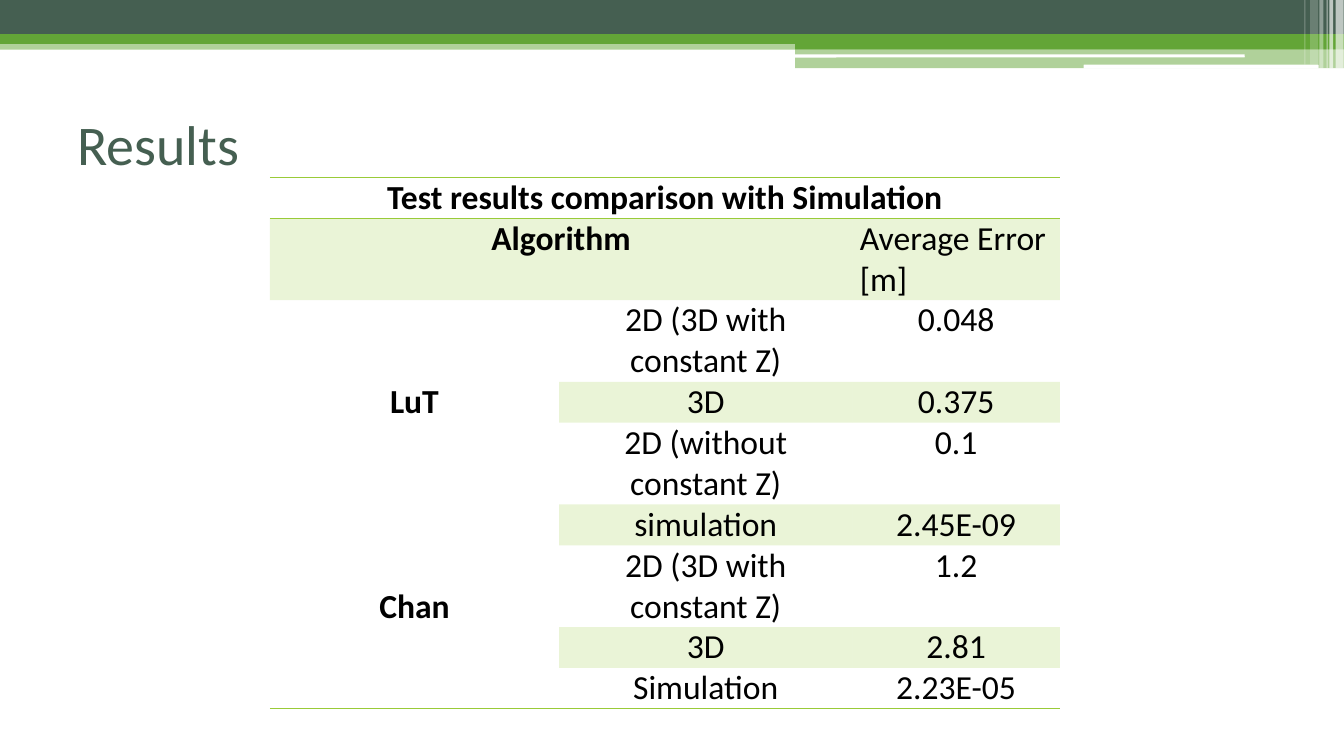
from dataclasses import dataclass
from lxml.etree import SubElement as Sub
from pptx import Presentation
from pptx.dml.color import RGBColor as RGB
from pptx.enum.shapes import MSO_SHAPE as Kind
from pptx.enum.text import MSO_ANCHOR as Anchor, PP_ALIGN as Align
from pptx.oxml import parse_xml
from pptx.oxml.ns import nsdecls, qn
from pptx.util import Cm, Pt


@dataclass
class Theme:
    font: str = "Calibri"
    title: int = 40
    body: int = 24
    dark: str = "455F51"
    green: str = "63A537"
    lime: str = "99CB38"
    white: str = "FFFFFF"
    black: str = "000000"


theme = Theme()


def paint(fill, node, color, alpha):
    fill.solid()
    fill.fore_color.rgb = RGB.from_string(color)
    if alpha < 100:
        tone = next(node.iter(qn("a:srgbClr")))
        Sub(tone, qn("a:alpha"), val=str(alpha * 1000))


def write(para, text, size, color, bold=False):
    run = para.add_run()
    run.text = text
    run.font.name = theme.font
    run.font.size = Pt(size)
    run.font.bold = bold
    run.font.color.rgb = RGB.from_string(color)


deck = Presentation()
deck.slide_width, deck.slide_height = Cm(33.87), Cm(19.05)
slide = deck.slides.add_slide(deck.slide_layouts[6])

# Top band: kind, left, top, width, height, color, opacity
box, pill = Kind.RECTANGLE, Kind.ROUNDED_RECTANGLE
bars = [
    (box, 0, 1.02, 33.87, 0.23, theme.green, 50),
    (box, 0, 0, 33.87, 0.86, theme.dark, 100),
    (box, 0, 0.86, 33.87, 0.25, theme.green, 100),
    (box, 20.04, 0.99, 13.83, 0.25, theme.green, 100),
    (box, 20.04, 1.22, 13.83, 0.5, theme.green, 50),
    (pill, 20.02, 1.37, 11.35, 0.08, theme.white, 100),
    (pill, 27.31, 1.63, 5.92, 0.1, theme.white, 100),
]
# Pale stripes at the right end: left, width, height, opacity
stripes = [
    (33.66, 0.2, 1.73, 65), (33.5, 0.1, 1.73, 65), (33.43, 0.03, 1.73, 60),
    (33.25, 0.1, 1.73, 40), (33.02, 0.2, 1.63, 20), (32.87, 0.03, 1.63, 30),
]
bars += [(box, x, 0, w, h, theme.white, a) for x, w, h, a in stripes]
for kind, x, y, w, h, color, alpha in bars:
    bar = slide.shapes.add_shape(kind, Cm(x), Cm(y), Cm(w), Cm(h))
    bar.shadow.inherit = False
    bar.line.fill.background()
    paint(bar.fill, bar.element.spPr, color, alpha)

# Title
title = slide.shapes.add_textbox(Cm(1.7), Cm(2.12), Cm(30.48), Cm(2.96))
frame = title.text_frame
frame.word_wrap = True
frame.vertical_anchor = Anchor.MIDDLE
write(frame.paragraphs[0], "Results", theme.title, theme.dark)

# Table of results
data = [
    ("Test results comparison with Simulation", "", ""),
    ("Algorithm", "", "Average Error [m]"),
    ("LuT", "2D (3D with constant Z)", "0.048"),
    ("", "3D", "0.375"),
    ("", "2D (without constant Z)", "0.1"),
    ("", "simulation", "2.45E-09"),
    ("Chan", "2D (3D with constant Z)", "1.2"),
    ("", "3D", "2.81"),
    ("", "Simulation", "2.23E-05"),
]
widths = [7.29, 7.39, 5.23]
line = 1.03
tall = {1, 2, 4, 6}
last = len(data) - 1
heights = [line * (2 if r in tall else 1) for r in range(len(data))]
holder = slide.shapes.add_table(len(data), 3, Cm(6.8), Cm(4.47),
                                Cm(sum(widths)), Cm(sum(heights)))
table = holder.table
table.first_row = table.horz_banding = False
style = next(table._tbl.iter(qn("a:tableStyleId")))
style.text = "{2D5ABB26-0587-4C30-8999-92F81FD0307C}"
for col, width in zip(table.columns, widths):
    col.width = Cm(width)
for row, height in zip(table.rows, heights):
    row.height = Cm(height)

# Merged cells: first row, first column, last row, last column
for top, left, end, right in [(0, 0, 0, 2), (1, 0, 1, 1), (2, 0, 5, 0), (6, 0, 8, 0)]:
    table.cell(top, left).merge(table.cell(end, right))

# Group names start some lines below the top of their cell
drop = {"LuT": 2, "Chan": 1}
for r, words in enumerate(data):
    for c, text in enumerate(words):
        cell = table.cell(r, c)
        cell.margin_left = cell.margin_right = Cm(0.19)
        cell.margin_top = Cm(line * drop.get(text, 0))
        cell.margin_bottom = 0
        if r == 1 or (r % 2 and c):
            paint(cell.fill, cell._tc.tcPr, theme.lime, 20)
        else:
            cell.fill.background()
        if text:
            para = cell.text_frame.paragraphs[0]
            para.alignment = Align.LEFT if (r, c) == (1, 2) else Align.CENTER
            write(para, text, theme.body, theme.black, bold=c == 0)

        # Rules above and below the heading and under the last row
        edges = ["lnT", "lnB"] if r == 0 else []
        if r == last or text == "Chan":
            edges = ["lnB"]
        for spot, edge in enumerate(edges):
            cell._tc.tcPr.insert(spot, parse_xml(
                f'<a:{edge} {nsdecls("a")} w="12700"><a:solidFill>'
                f'<a:srgbClr val="{theme.lime}"/></a:solidFill></a:{edge}>'))

deck.save("out.pptx")
